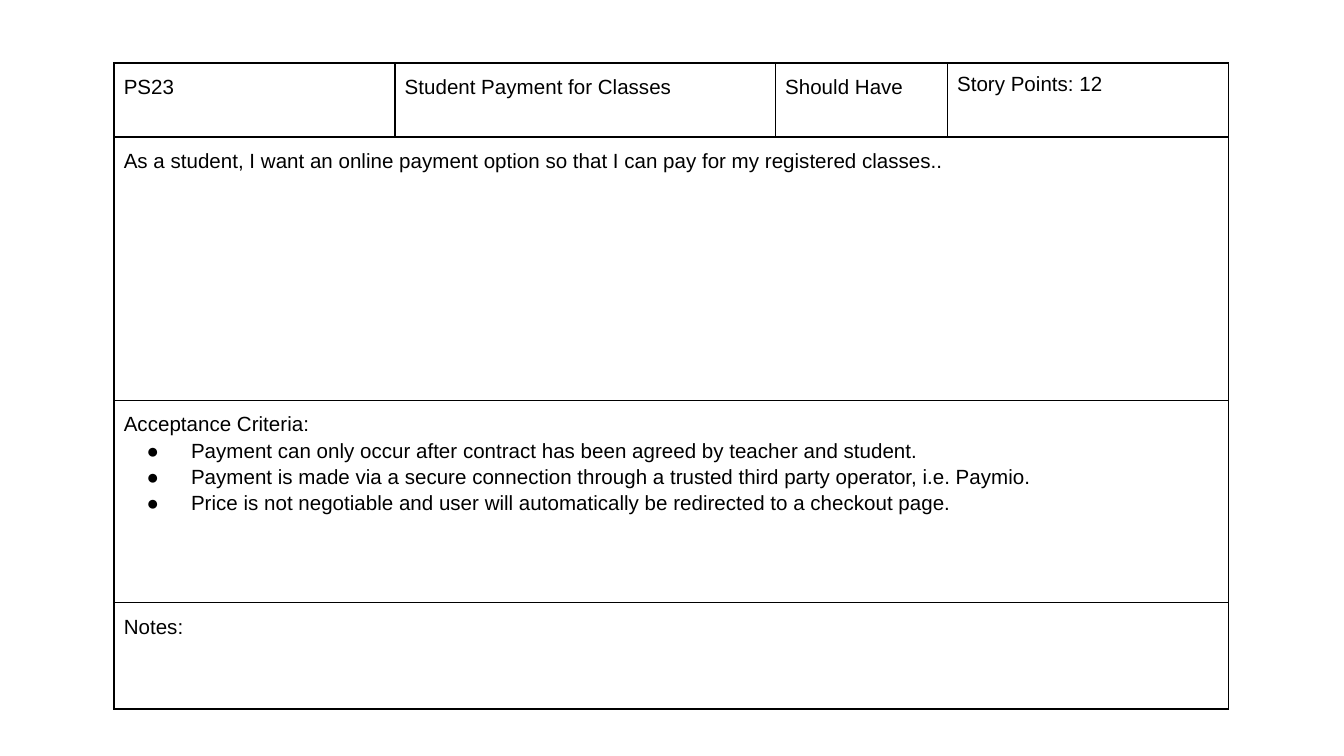
from lxml.etree import SubElement
from pptx import Presentation
from pptx.dml.color import RGBColor
from pptx.oxml import parse_xml
from pptx.oxml.ns import nsdecls, qn
from pptx.util import Cm, Pt

BLACK = "000000"
COLUMNS = [5.31, 7.19, 3.25, 5.31]
ROWS = [1.4, 4.98, 3.82, 2.01]

HEADER = [("PS23", 1.15), ("Student Payment for Classes", 1.15),
          ("Should Have", 1.15), ("Story Points: 12", 1.0)]
STORY = ("As a student, I want an online payment option "
         "so that I can pay for my registered classes..")
CRITERIA = [
    "Payment can only occur after contract has been agreed by teacher and student.",
    "Payment is made via a secure connection through a trusted third party operator, i.e. Paymio.",
    "Price is not negotiable and user will automatically be redirected to a checkout page.",
]


def color(value):
    return RGBColor.from_string(value)


def write(para, text, font="Arial", size=11, ink=BLACK, spacing=1.15, bullet=None):
    """Fill one paragraph with formatted text and an optional bullet."""
    para.line_spacing = spacing
    if bullet:
        properties = para._p.get_or_add_pPr()
        properties.set("marL", str(Cm(1.27)))
        properties.set("indent", str(Cm(-0.84)))
        tint = SubElement(properties, qn("a:buClr"))
        SubElement(tint, qn("a:srgbClr")).set("val", ink)
        SubElement(properties, qn("a:buFont")).set("typeface", font)
        SubElement(properties, qn("a:buChar")).set("char", bullet)
    span = para.add_run()
    span.text = text
    span.font.name = font
    span.font.size = Pt(size)
    span.font.color.rgb = color(ink)


class StoryCard:
    margin = Cm(0.18)
    border = Pt(1)

    def __init__(self, page):
        self.page = page

    def table(self, left, top, columns, rows):
        frame = self.page.shapes.add_table(
            len(rows), len(columns), Cm(left), Cm(top), Cm(sum(columns)), Cm(sum(rows)))
        grid = frame.table
        grid.first_row = False
        grid.horz_banding = False
        for column, width in zip(grid.columns, columns):
            column.width = Cm(width)
        for row, height in zip(grid.rows, rows):
            row.height = Cm(height)
        for cell in grid.iter_cells():
            self.frame_cell(cell)
        return grid

    def frame_cell(self, cell):
        cell.fill.background()
        cell.margin_left = cell.margin_right = self.margin
        cell.margin_top = cell.margin_bottom = self.margin
        properties = cell._tc.get_or_add_tcPr()
        for position, side in enumerate("LRTB"):
            properties.insert(position, parse_xml(
                f'<a:ln{side} {nsdecls("a")} w="{self.border}"><a:solidFill>'
                f'<a:srgbClr val="{BLACK}"/></a:solidFill></a:ln{side}>'))

    def wide_cell(self, grid, row, text, bullets=()):
        cell = grid.cell(row, 0)
        cell.merge(grid.cell(row, len(grid.columns) - 1))
        write(cell.text_frame.paragraphs[0], text)
        for item in bullets:
            write(cell.text_frame.add_paragraph(), item, bullet="●")


def main():
    deck = Presentation()
    deck.slide_width, deck.slide_height = Cm(25.4), Cm(14.29)
    card = StoryCard(deck.slides.add_slide(deck.slide_layouts[6]))

    # Card grid and header row
    grid = card.table(2.16, 1.19, COLUMNS, ROWS)
    for index, (text, spacing) in enumerate(HEADER):
        write(grid.cell(0, index).text_frame.paragraphs[0], text, spacing=spacing)

    # Full-width rows
    card.wide_cell(grid, 1, STORY)
    card.wide_cell(grid, 2, "Acceptance Criteria:", CRITERIA)
    card.wide_cell(grid, 3, "Notes:")

    deck.save("out.pptx")


if __name__ == "__main__":
    main()
